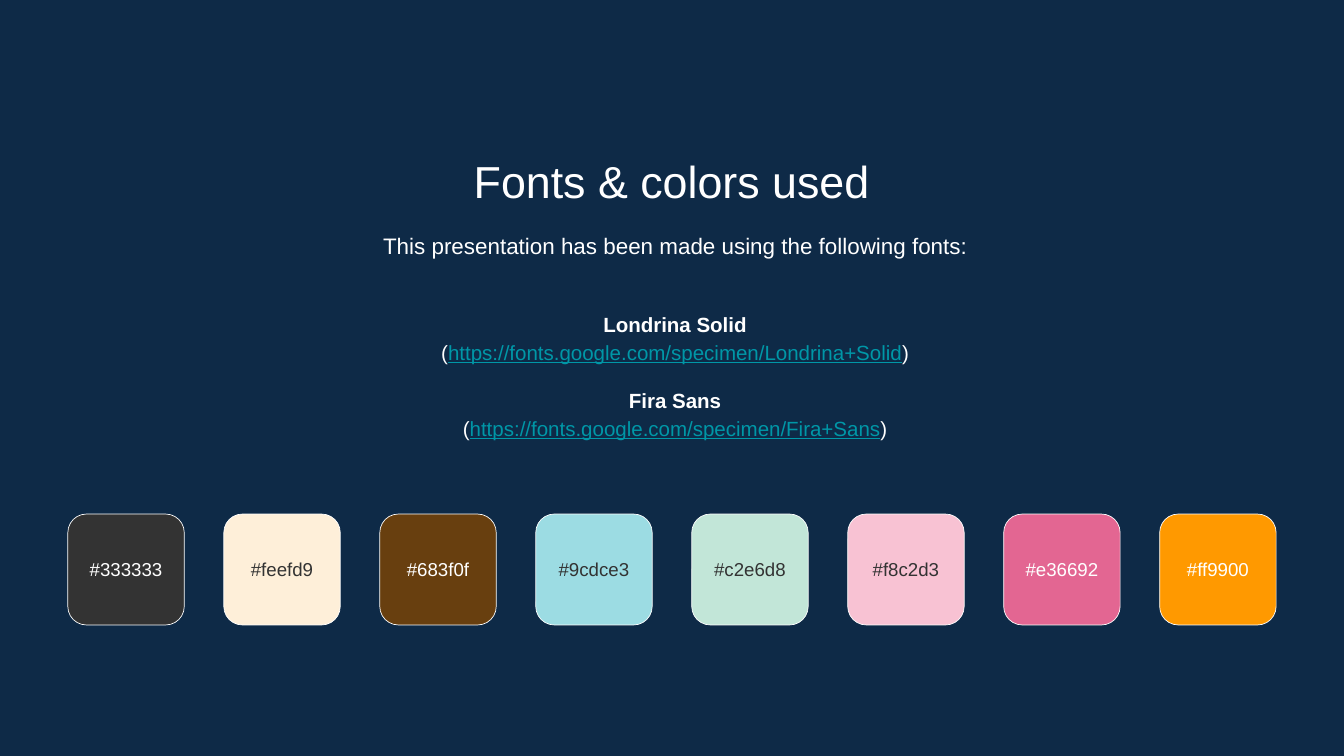
from pptx import Presentation
from pptx.dml.color import RGBColor
from pptx.enum.shapes import MSO_SHAPE
from pptx.enum.text import MSO_ANCHOR, PP_ALIGN
from pptx.util import Inches, Pt

WIDTH, HEIGHT = 20, 11.25
COLORS = {"navy": "0E2A47", "white": "FFFFFF", "charcoal": "333333", "link": "0097A7"}
FONTS_USED = {
    "Londrina Solid": "https://fonts.google.com/specimen/Londrina+Solid",
    "Fira Sans": "https://fonts.google.com/specimen/Fira+Sans",
}
SWATCHES = {
    "333333": "white",
    "feefd9": "charcoal",
    "683f0f": "white",
    "9cdce3": "charcoal",
    "c2e6d8": "charcoal",
    "f8c2d3": "charcoal",
    "e36692": "white",
    "ff9900": "white",
}


def rgb(code):
    """Turn a hex string into a colour."""
    return RGBColor.from_string(code.upper())


def set_frame(frame, inset, anchor):
    """Apply wrapping, margins and anchor to a text frame."""
    margins = {f"margin_{side}": Inches(inset) for side in ("left", "top", "right", "bottom")}
    for name, value in {"word_wrap": True, "vertical_anchor": anchor, **margins}.items():
        setattr(frame, name, value)


def write_line(paragraph, runs, size, spacing=1.0, before=0):
    """Fill a centred paragraph with (text, colour, format) runs."""
    layout = {"alignment": PP_ALIGN.CENTER, "line_spacing": spacing, "space_before": Pt(before)}
    for name, value in layout.items():
        setattr(paragraph, name, value)
    for text, color, extra in runs:
        run = paragraph.add_run()
        run.text = text
        for name, value in {"name": "Arial", "size": Pt(size), **extra}.items():
            setattr(run.font, name, value)
        run.font.color.rgb = rgb(COLORS[color])


def add_frame(slide, box, anchor=MSO_ANCHOR.TOP):
    """Add a text box over the given box and return its frame."""
    frame = slide.shapes.add_textbox(*map(Inches, box)).text_frame
    set_frame(frame, 0.2, anchor)
    return frame


def add_heading(slide, box, text, size, spacing=1.0):
    """Place one centred line of white text."""
    frame = add_frame(slide, box)
    write_line(frame.paragraphs[0], [(text, "white", {})], size, spacing)


def add_font_list(slide, box):
    """List each font name above its address."""
    frame = add_frame(slide, box, MSO_ANCHOR.MIDDLE)
    for index, (font, address) in enumerate(FONTS_USED.items()):
        name_line = frame.add_paragraph() if index else frame.paragraphs[0]
        write_line(name_line, [(font, "white", {"bold": True})], 22, 1.15, 21 if index else 0)
        address_runs = [
            ("(", "white", {}),
            (address, "link", {"underline": True}),
            (")", "white", {}),
        ]
        write_line(frame.add_paragraph(), address_runs, 22, 1.15)


def add_palette(slide, box, gap_share=0.34):
    """Spread the labelled colour swatches evenly across the box."""
    left, top, width, height = box
    swatch_width = width / (len(SWATCHES) + gap_share * (len(SWATCHES) - 1))
    pitch = swatch_width * (1 + gap_share)
    for column, (code, label_color) in enumerate(SWATCHES.items()):
        place = (left + column * pitch, top, swatch_width, height)
        swatch = slide.shapes.add_shape(MSO_SHAPE.ROUNDED_RECTANGLE, *map(Inches, place))
        swatch.shadow.inherit = False
        swatch.fill.solid()
        swatch.fill.fore_color.rgb = rgb(code)
        swatch.line.color.rgb = rgb(COLORS["white"])
        swatch.line.width = Pt(0.75)
        set_frame(swatch.text_frame, 0, MSO_ANCHOR.MIDDLE)
        write_line(swatch.text_frame.paragraphs[0], [(f"#{code}", label_color, {})], 20)


def share(left, top, width, height):
    """Turn percentages of the slide into a box in inches."""
    return tuple(p * side / 100 for p, side in zip((left, top, width, height), (WIDTH, HEIGHT) * 2))


def main():
    """Build and save the slide."""
    deck = Presentation()
    deck.slide_width, deck.slide_height = Inches(WIDTH), Inches(HEIGHT)
    slide = deck.slides.add_slide(deck.slide_layouts[6])
    slide.background.fill.solid()
    slide.background.fill.fore_color.rgb = rgb(COLORS["navy"])
    add_heading(slide, share(11.45, 18.58, 77.05, 9.42), "Fonts & colors used", 48)
    intro = "This presentation has been made using the following fonts:"
    add_heading(slide, share(11.7, 28.36, 77.05, 8.53), intro, 24, 1.15)
    add_font_list(slide, share(11.7, 37.33, 77.05, 24.36))
    add_palette(slide, share(5.05, 68, 89.9, 14.67))
    deck.save("out.pptx")


if __name__ == "__main__":
    main()
